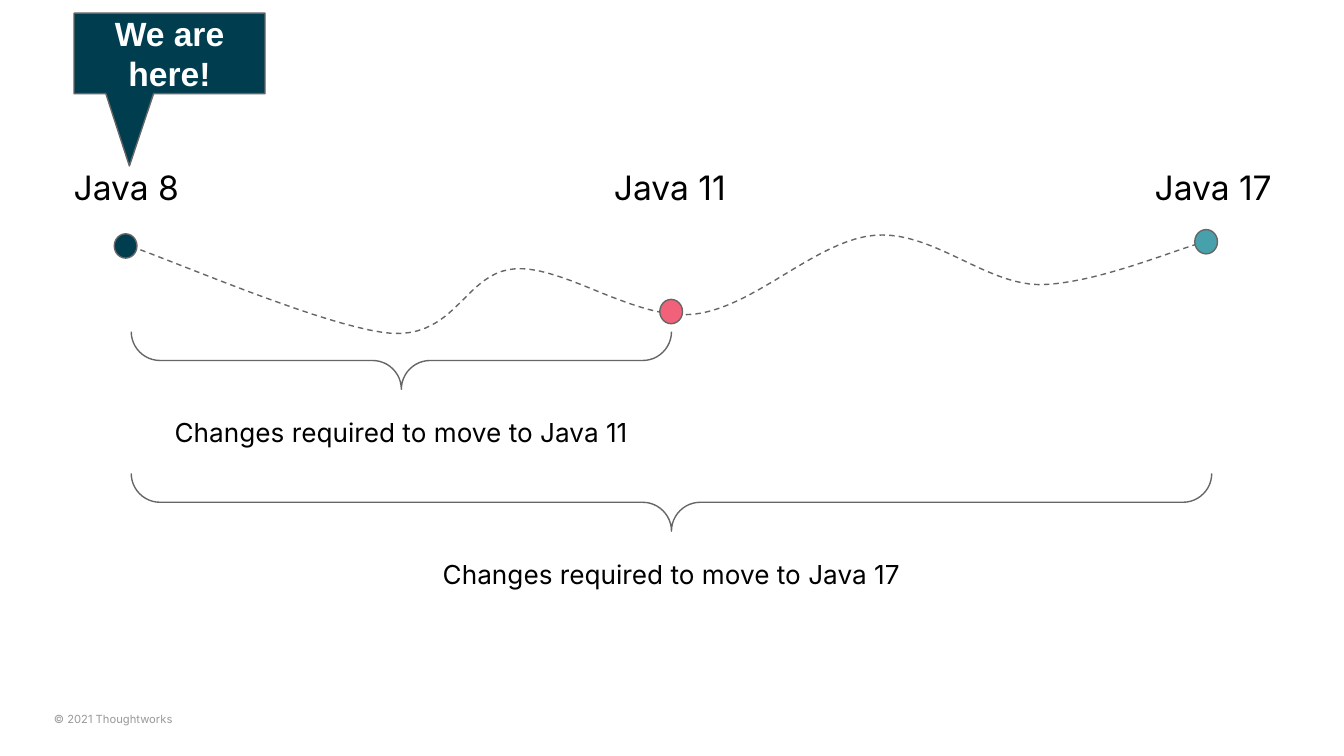
from pptx import Presentation
from pptx.dml.color import RGBColor
from pptx.enum.dml import MSO_LINE
from pptx.enum.shapes import MSO_SHAPE as Kind
from pptx.enum.text import MSO_ANCHOR as Anchor, PP_ALIGN as Align
from pptx.util import Cm, Pt


def paint(shape, fill=None):
    """Give a shape its fill, or none, and the thin grey outline."""
    shape.shadow.inherit = False
    if fill:
        shape.fill.solid()
        shape.fill.fore_color.rgb = RGBColor.from_string(fill)
    else:
        shape.fill.background()
    shape.line.color.rgb = RGBColor.from_string("666666")
    shape.line.width = Pt(0.75)


def write(shape, text, size, color="000000", font="Inter",
          align=Align.CENTER, anchor=Anchor.TOP, pad=0.25, bold=False):
    frame = shape.text_frame
    frame.word_wrap = True
    frame.vertical_anchor = anchor
    frame.margin_left = frame.margin_right = Cm(pad)
    frame.margin_top = frame.margin_bottom = Cm(pad)
    para = frame.paragraphs[0]
    para.text = text
    para.alignment = align
    para.font.size = Pt(size)
    para.font.name = font
    para.font.bold = bold
    para.font.color.rgb = RGBColor.from_string(color)


prs = Presentation()
prs.slide_width, prs.slide_height = Cm(25.4), Cm(14.29)
shapes = prs.slides.add_slide(prs.slide_layouts[6]).shapes

# Footer
foot = shapes.add_textbox(Cm(1.02), Cm(13.23), Cm(10.95), Cm(0.48))
write(foot, "© 2021 Thoughtworks", 6, "999999",
      align=Align.LEFT, anchor=Anchor.BOTTOM, pad=0)

# Braces, turned to point down, each with its caption
start, depth, wide = 2.48, 1.09, 9.75
for goal, span, top in [("Java 11", 10.21, 6.27), ("Java 17", 20.42, 8.95)]:
    mid = start + span / 2
    brace = shapes.add_shape(
        Kind.RIGHT_BRACE, Cm(mid - depth / 2), Cm(top + depth / 2 - span / 2),
        Cm(depth), Cm(span))
    brace.rotation = 90
    brace.adjustments[0] = brace.adjustments[1] = 0.5
    paint(brace)
    note = shapes.add_textbox(Cm(mid - wide / 2), Cm(top + 1.35),
                              Cm(wide), Cm(1.09))
    write(note, f"Changes required to move to {goal}", 14)

# Version names
for i, name in enumerate(["Java 8", "Java 11", "Java 17"]):
    label = shapes.add_textbox(Cm(0.94 + 10.27 * i), Cm(2.9), Cm(2.9), Cm(1.09))
    write(label, name, 18)

# Callout
call = shapes.add_shape(Kind.RECTANGULAR_CALLOUT,
                        Cm(1.4), Cm(0.25), Cm(3.61), Cm(1.52))
call.adjustments[0], call.adjustments[1] = -0.21, 1.4
paint(call, "003D4F")
write(call, "We are here!", 18, "FFFFFF", "Arial",
      anchor=Anchor.MIDDLE, bold=True)

# Winding road: cubic Bezier curves, each starting where the last one ends
first = (2.31, 4.6)
curves = [
    ((3.18, 4.88), (6.17, 6.2), (7.39, 6.3)),
    ((8.64, 6.38), (8.79, 5.13), (9.75, 5.08)),
    ((10.69, 5.03), (11.99, 6.05), (13.11, 5.94)),
    ((14.25, 5.82), (15.42, 4.55), (16.51, 4.45)),
    ((17.6, 4.34), (18.59, 5.36), (19.63, 5.38)),
    ((20.68, 5.38), (22.25, 4.7), (22.78, 4.57)),
]
steps = 20
dots = []
last = first
for b, c, d in curves:
    for k in range(1, steps + 1):
        t = k / steps
        u = 1 - t
        dots.append(tuple(
            Cm(u**3 * p + 3 * u * u * t * q + 3 * u * t * t * r + t**3 * s)
            for p, q, r, s in zip(last, b, c, d)))
    last = d
pen = shapes.build_freeform(Cm(first[0]), Cm(first[1]))
pen.add_line_segments(dots, close=False)
road = pen.convert_to_shape()
paint(road)
road.line.dash_style = MSO_LINE.DASH

# Stops on the road
for left, top, color in [(2.16, 4.42, "003D4F"), (12.47, 5.66, "F2617A"),
                         (22.58, 4.34, "47A1AD")]:
    stop = shapes.add_shape(Kind.OVAL, Cm(left), Cm(top), Cm(0.43), Cm(0.46))
    paint(stop, color)

prs.save("out.pptx")
